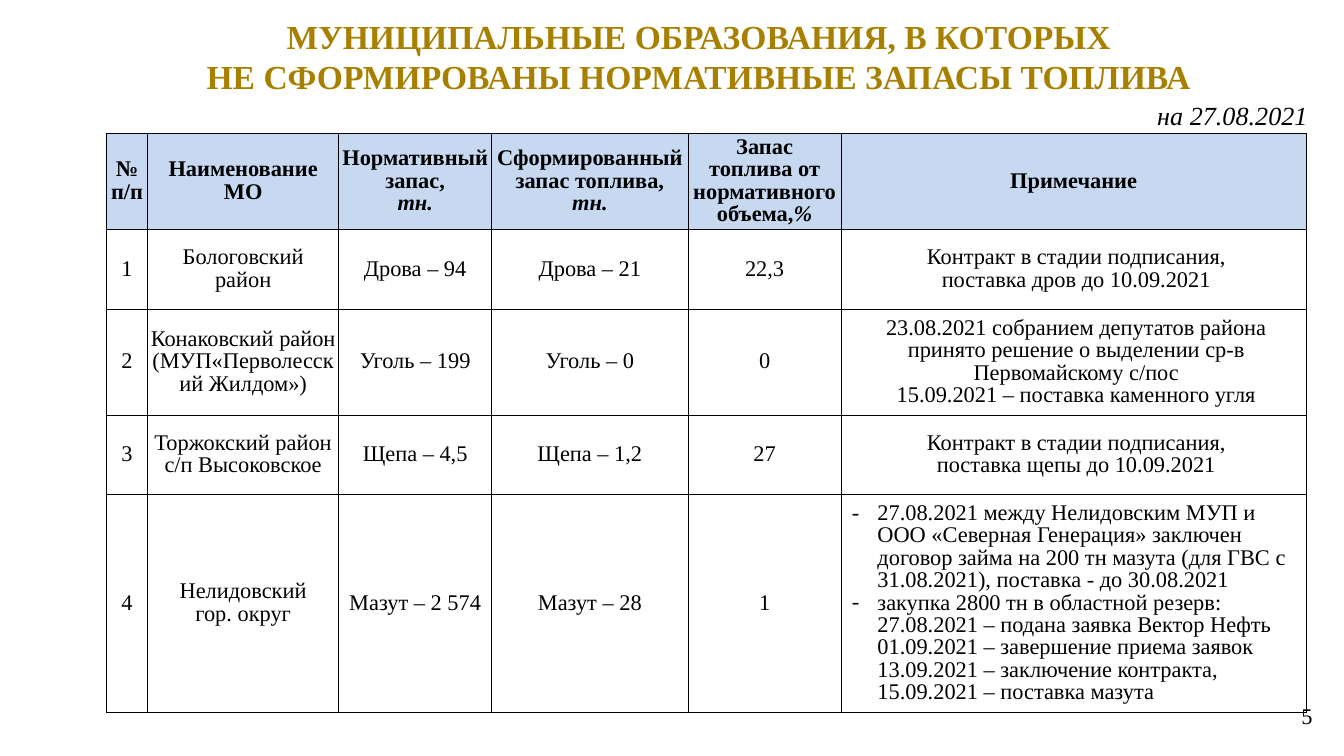
from dataclasses import dataclass

from lxml.etree import SubElement
from pptx import Presentation
from pptx.dml.color import RGBColor
from pptx.enum.text import MSO_ANCHOR as Anchor, MSO_AUTO_SIZE as AutoSize, PP_ALIGN as Align
from pptx.oxml.ns import qn
from pptx.util import Inches, Pt


@dataclass(frozen=True)
class Theme:
    font: str = "Times New Roman"
    gold: RGBColor = RGBColor(0xA8, 0x80, 0x00)
    black: RGBColor = RGBColor(0, 0, 0)
    header: RGBColor = RGBColor(0xC6, 0xD9, 0xF1)
    title_size: Pt = Pt(18)
    date_size: Pt = Pt(14)
    text_size: Pt = Pt(12)
    border: Pt = Pt(0.5)


@dataclass(frozen=True)
class Para:
    text: str
    italic_tail: str = ""


@dataclass(frozen=True)
class Region:
    number: str
    name: tuple[str, ...]
    required: str
    stocked: str
    percent: str
    note: tuple[str, ...]
    bulleted: bool = False


@dataclass(frozen=True)
class Box:
    left: float
    top: float
    width: float
    height: float

    def lengths(self) -> tuple:
        return tuple(Inches(v) for v in (self.left, self.top, self.width, self.height))


THEME = Theme()
TITLE = ("МУНИЦИПАЛЬНЫЕ ОБРАЗОВАНИЯ, В КОТОРЫХ",
         "НЕ СФОРМИРОВАНЫ НОРМАТИВНЫЕ ЗАПАСЫ ТОПЛИВА")
COL_WIDTHS = (0.31, 1.42, 1.14, 1.46, 1.14, 3.46)
ROW_HEIGHTS = (0.72, 0.59, 0.79, 0.59, 1.62)
NOTE_INDENT = 0.04
HEADERS = (
    (Para("№ п/п"),),
    (Para("Наименование\vМО"),),
    (Para("Нормативный запас,"), Para("", "тн.")),
    (Para("Сформированный запас топлива,"), Para("", "тн.")),
    (Para("Запас\vтоплива от нормативного объема,", "%"),),
    (Para("Примечание"),),
)
REGIONS = (
    Region("1", ("Бологовский", "район"), "Дрова – 94", "Дрова – 21", "22,3",
           ("Контракт в стадии подписания,", "поставка дров до 10.09.2021")),
    Region("2", ("Конаковский район (МУП«Перволесский Жилдом»)",),
           "Уголь – 199", "Уголь – 0", "0",
           ("23.08.2021 собранием депутатов района принято решение о выделении ср-в "
            "Первомайскому с/пос", "15.09.2021 – поставка каменного угля")),
    Region("3", ("Торжокский район", "с/п Высоковское"), "Щепа – 4,5", "Щепа – 1,2", "27",
           ("Контракт в стадии подписания,", "поставка щепы до 10.09.2021")),
    Region("4", ("Нелидовский", "гор. округ"), "Мазут – 2 574", "Мазут – 28", "1",
           ("27.08.2021 между Нелидовским МУП и ООО «Северная Генерация» заключен договор "
            "займа на 200 тн мазута (для ГВС с 31.08.2021), поставка - до 30.08.2021",
            "закупка 2800 тн в областной резерв: 27.08.2021 – подана заявка Вектор Нефть "
            "01.09.2021 – завершение приема заявок 13.09.2021 – заключение контракта, "
            "15.09.2021 – поставка мазута"), bulleted=True),
)


def set_attrs(target, values: dict) -> None:
    for name, value in values.items():
        setattr(target, name, value)


def style_run(r, size=THEME.text_size, color=THEME.black, bold=False, italic=False) -> None:
    set_attrs(r.font, {"name": THEME.font, "size": size, "bold": bold, "italic": italic})
    r.font.color.rgb = color


def write_paras(tf, paras: tuple[Para, ...], align=Align.CENTER, **style) -> None:
    for i, para in enumerate(paras):
        p = tf.paragraphs[0] if i == 0 else tf.add_paragraph()
        p.alignment = align
        if para.text:
            p.text = para.text
        for r in p.runs:
            style_run(r, **style)
        if para.italic_tail:
            r = p.add_run()
            r.text = para.italic_tail
            style_run(r, **{**style, "italic": True})


def plain(texts: tuple[str, ...]) -> tuple[Para, ...]:
    return tuple(Para(t) for t in texts)


def indent(p, left: float, first: float = 0, bullet: str = "") -> None:
    pPr = p._p.get_or_add_pPr()
    pPr.set("marL", str(Inches(left)))
    pPr.set("indent", str(Inches(first)))
    if bullet:
        SubElement(pPr, qn("a:buFont"), typeface=THEME.font)
        SubElement(pPr, qn("a:buChar"), char=bullet)


def add_borders(cell) -> None:
    tcPr = cell._tc.get_or_add_tcPr()
    for side in ("lnL", "lnR", "lnT", "lnB"):
        ln = SubElement(tcPr, qn(f"a:{side}"), w=str(THEME.border))
        fill = SubElement(ln, qn("a:solidFill"))
        SubElement(fill, qn("a:srgbClr"), val=str(THEME.black))


def fill_cell(cell, paras: tuple[Para, ...], header=False, align=Align.CENTER) -> None:
    set_attrs(cell, {"margin_left": 0, "margin_right": 0, "margin_top": 0,
                     "margin_bottom": 0, "vertical_anchor": Anchor.MIDDLE})
    add_borders(cell)
    if header:
        cell.fill.solid()
        cell.fill.fore_color.rgb = THEME.header
    else:
        cell.fill.background()
    write_paras(cell.text_frame, paras, align, bold=header)
    for p in cell.text_frame.paragraphs:
        p.line_spacing = 0.9


def fill_note(cell, region: Region) -> None:
    align = Align.LEFT if region.bulleted else Align.CENTER
    fill_cell(cell, plain(region.note), align=align)
    if region.bulleted:
        cell.margin_left = Inches(NOTE_INDENT)
    for p in cell.text_frame.paragraphs:
        if region.bulleted:
            indent(p, 0.23, -0.19, "-")
        else:
            indent(p, NOTE_INDENT)


def add_stock_table(s, box: Box) -> None:
    table = s.shapes.add_table(len(ROW_HEIGHTS), len(COL_WIDTHS), *box.lengths()).table
    set_attrs(table, {"first_row": False, "horz_banding": False})
    for col, width in zip(table.columns, COL_WIDTHS):
        col.width = Inches(width)
    for row, height in zip(table.rows, ROW_HEIGHTS):
        row.height = Inches(height)
    for c, paras in enumerate(HEADERS):
        fill_cell(table.cell(0, c), paras, header=True)
    for i, region in enumerate(REGIONS, start=1):
        texts = ((region.number,), region.name, (region.required,),
                 (region.stocked,), (region.percent,))
        for c, lines in enumerate(texts):
            fill_cell(table.cell(i, c), plain(lines))
        fill_note(table.cell(i, len(texts)), region)


def add_title(s, box: Box) -> None:
    sp = s.shapes.title
    set_attrs(sp, dict(zip(("left", "top", "width", "height"), box.lengths())))
    set_attrs(sp.text_frame, {"auto_size": AutoSize.SHAPE_TO_FIT_TEXT,
                              "vertical_anchor": Anchor.MIDDLE})
    write_paras(sp.text_frame, plain(TITLE), size=THEME.title_size, color=THEME.gold, bold=True)


def add_label(s, box: Box, text: str, frame: dict, **style) -> None:
    tf = s.shapes.add_textbox(*box.lengths()).text_frame
    set_attrs(tf, frame)
    write_paras(tf, (Para(text),), **style)


def main() -> None:
    prs = Presentation()
    width = Inches(10)
    set_attrs(prs, {"slide_width": width, "slide_height": width * 9 // 16})
    s = prs.slides.add_slide(prs.slide_layouts[5])
    add_stock_table(s, Box(0.79, 0.99, sum(COL_WIDTHS), sum(ROW_HEIGHTS)))
    add_title(s, Box(0.67, 0.06, 9.06, 0.71))
    add_label(s, Box(9.57, 5.17, 0.31, 0.31), "5",
              {"word_wrap": True, "vertical_anchor": Anchor.MIDDLE,
               "margin_left": Inches(0.05), "margin_right": Inches(0.05),
               "margin_top": Inches(0.03), "margin_bottom": Inches(0.03)})
    add_label(s, Box(8.48, 0.69, 1.38, 0.34), "на 27.08.2021",
              {"word_wrap": False, "auto_size": AutoSize.SHAPE_TO_FIT_TEXT},
              size=THEME.date_size, italic=True)
    prs.save("out.pptx")


if __name__ == "__main__":
    main()
